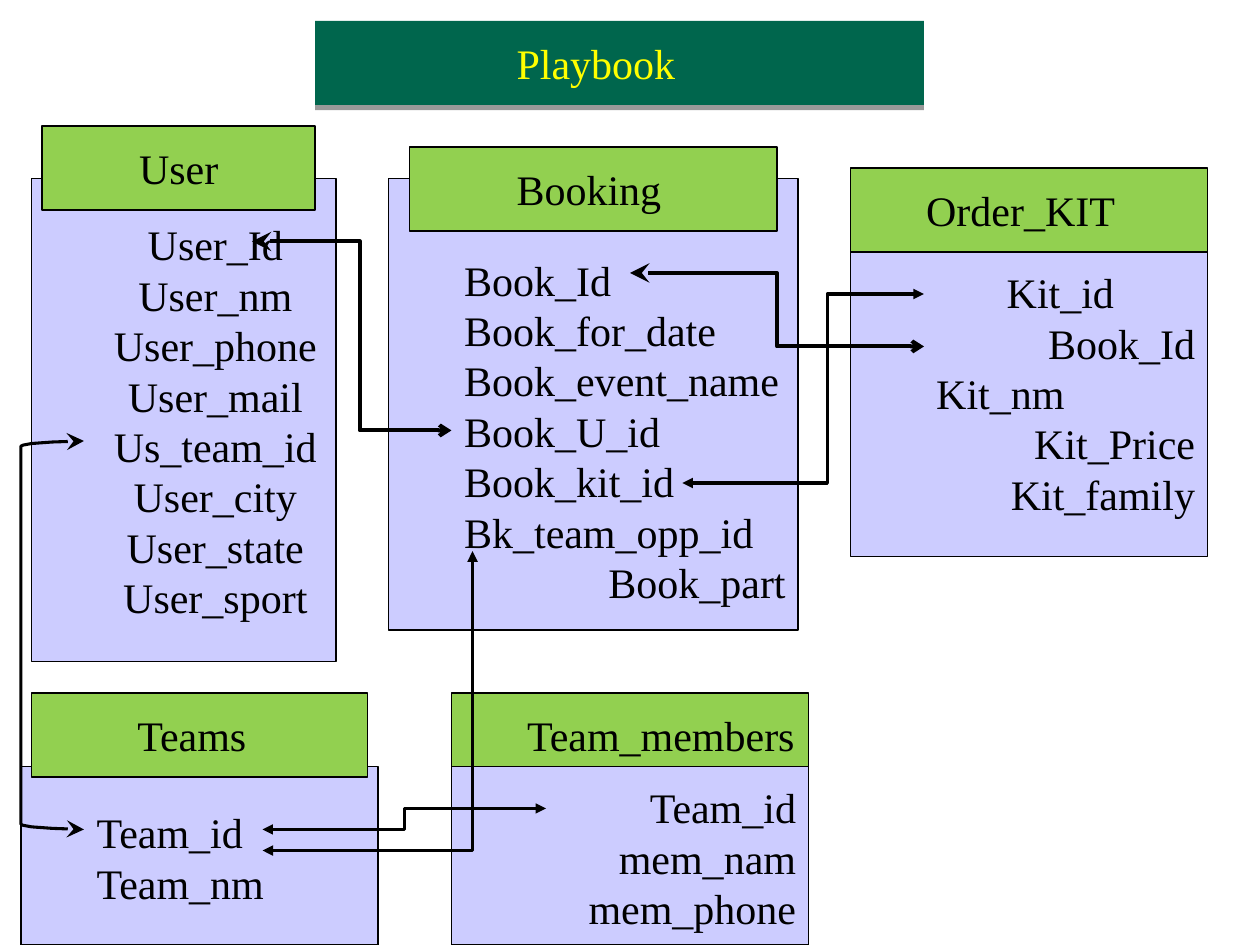
from lxml.etree import SubElement
from pptx import Presentation
from pptx.dml.color import RGBColor
from pptx.enum.shapes import MSO_CONNECTOR, MSO_SHAPE
from pptx.enum.text import MSO_ANCHOR, PP_ALIGN
from pptx.oxml.ns import qn
from pptx.util import Inches, Pt

BLACK = RGBColor(0x00, 0x00, 0x00)
LAVENDER = RGBColor(0xCC, 0xCC, 0xFF)
LIME = RGBColor(0x92, 0xD0, 0x50)
FOREST = RGBColor(0x00, 0x66, 0x4D)
YELLOW = RGBColor(0xFF, 0xFF, 0x00)
LEFT, CENTER, RIGHT = PP_ALIGN.LEFT, PP_ALIGN.CENTER, PP_ALIGN.RIGHT

presentation = Presentation()
presentation.slide_width = Inches(10)
presentation.slide_height = Inches(7.5)
slide = presentation.slides.add_slide(presentation.slide_layouts[6])
shapes = slide.shapes
UNIT = presentation.slide_width // 120


def add_box(place, fill, color, lines, inset, top=None):
    box = shapes.add_shape(MSO_SHAPE.RECTANGLE, *(int(n * UNIT) for n in place))
    box.shadow.inherit = False
    box.fill.solid()
    box.fill.fore_color.rgb = fill
    box.line.color.rgb = BLACK
    box.line.width = Pt(0.75)
    frame = box.text_frame
    frame.word_wrap = True
    frame.margin_left = Inches(inset)
    frame.margin_right = Inches(0.1 if top else 0)
    frame.vertical_anchor = MSO_ANCHOR.MIDDLE
    if top:
        frame.vertical_anchor = MSO_ANCHOR.TOP
        frame.margin_top = Inches(top)
    for index, (text, alignment, indent) in enumerate(lines):
        paragraph = frame.paragraphs[0] if index == 0 else frame.add_paragraph()
        paragraph.text = text
        paragraph.alignment = alignment
        paragraph.line_spacing = Pt(28.8)
        if indent:
            paragraph._p.get_or_add_pPr().set("marL", str(Inches(indent)))
        paragraph.font.name = "Times New Roman"
        paragraph.font.size = Pt(24)
        paragraph.font.color.rgb = color
    return box


def style_line(line, width, head, tail):
    line.color.rgb = BLACK
    line.width = Pt(width)
    for tag, kind in (("a:headEnd", head), ("a:tailEnd", tail)):
        size = "lg" if kind == "stealth" else "med"
        SubElement(line._ln, qn(tag), type=kind, w=size, len=size)


user_fields = ["User_Id", "User_nm", "User_phone", "User_mail", "Us_team_id",
               "User_city", "User_state", "User_sport"]
booking_fields = ["Book_Id", "Book_for_date", "Book_event_name", "Book_U_id",
                  "Book_kit_id", "Bk_team_opp_id"]
order_lines = [("Kit_id", LEFT, 0.56), ("Book_Id", RIGHT, 0), ("Kit_nm", LEFT, 0),
               ("Kit_Price", RIGHT, 0), ("Kit_family", RIGHT, 0)]
tables = [
    ((3, 17, 29, 46), 0.6, 0.32, [(name, CENTER, 0) for name in user_fields]),
    ((37, 17, 39, 43), 0.6, 0.6,
     [(name, LEFT, 0) for name in booking_fields] + [("Book_part", RIGHT, 0)]),
    ((81, 17, 34, 36), 0.68, 0.7, order_lines),
    ((2, 73, 34, 17), 0.6, 0.32, [(name, LEFT, 0) for name in ("Team_id", "Team_nm")]),
]
headings = [
    ("User", (4, 12, 26, 8), 0.77),
    ("Booking", (39, 14, 35, 8), 0.85),
    ("Order_KIT", (81, 16, 34, 8), 0.6),
    ("Teams", (3, 66, 32, 8), 0.84),
    ("Team_members", (43, 66, 34, 8), 0.6),
]
for place, inset, top, lines in tables:
    add_box(place, LAVENDER, BLACK, lines, inset, top)
for text, place, inset in headings:
    add_box(place, LIME, BLACK, [(text, LEFT, 0)], inset)
member_lines = [(name, RIGHT, 0) for name in ("Team_id", "mem_nam", "mem_phone")]
add_box((43, 73, 34, 17), LAVENDER, BLACK, member_lines, 0.6, 0.12)

title = add_box((30, 2, 58, 8), FOREST, YELLOW, [("Playbook", LEFT, 0)], 1.6)
title.line.fill.background()
effects = title._element.spPr.find(qn("a:effectLst"))
shadow = SubElement(effects, qn("a:outerShdw"), blurRad="0", dist=str(Pt(3)),
                    dir="5400000", rotWithShape="0")
shadow_color = SubElement(shadow, qn("a:srgbClr"), val="000000")
SubElement(shadow_color, qn("a:alpha"), val="40000")

links = [
    ((60, 26), (88, 33), 0.5, 2.25, "stealth", "arrow"),
    ((24, 23), (43, 41), 0.54, 2.25, "stealth", "arrow"),
    ((25, 79), (52, 77), 0.5, 1.75, "triangle", "triangle"),
    ((25, 81), (45, 52.5), None, 2, "triangle", "triangle"),
    ((88, 28), (65, 46), 0.4, 2, "triangle", "triangle"),
]
for start, end, bend, width, head, tail in links:
    connector = shapes.add_connector(
        MSO_CONNECTOR.ELBOW, *(int(n * UNIT) for n in start + end))
    style_line(connector.line, width, head, tail)
    properties = connector._element.spPr
    geometry = properties.find(qn("a:prstGeom"))
    if bend is None:
        geometry.set("prst", "bentConnector2")
    else:
        adjustments = geometry.find(qn("a:avLst"))
        SubElement(adjustments, qn("a:gd"), name="adj1", fmla=f"val {round(bend * 100000)}")
    SubElement(properties, qn("a:effectLst"))

upper_bend = [(8, 42), (5, 42.1), (3, 42.25), (2.2, 42.4), (2, 42.5)]
lower_bend = [(x, 121 - y) for x, y in reversed(upper_bend)]
points = upper_bend + lower_bend
builder = shapes.build_freeform(*points[0], scale=UNIT)
builder = shapes.build_freeform(int(8 * UNIT), int(42 * UNIT))
builder.add_line_segments([(int(x * UNIT), int(y * UNIT)) for x, y in points[1:]], close=False)
bracket = builder.convert_to_shape()
bracket.shadow.inherit = False
bracket.fill.background()
style_line(bracket.line, 1.75, "stealth", "stealth")

presentation.save("out.pptx")
